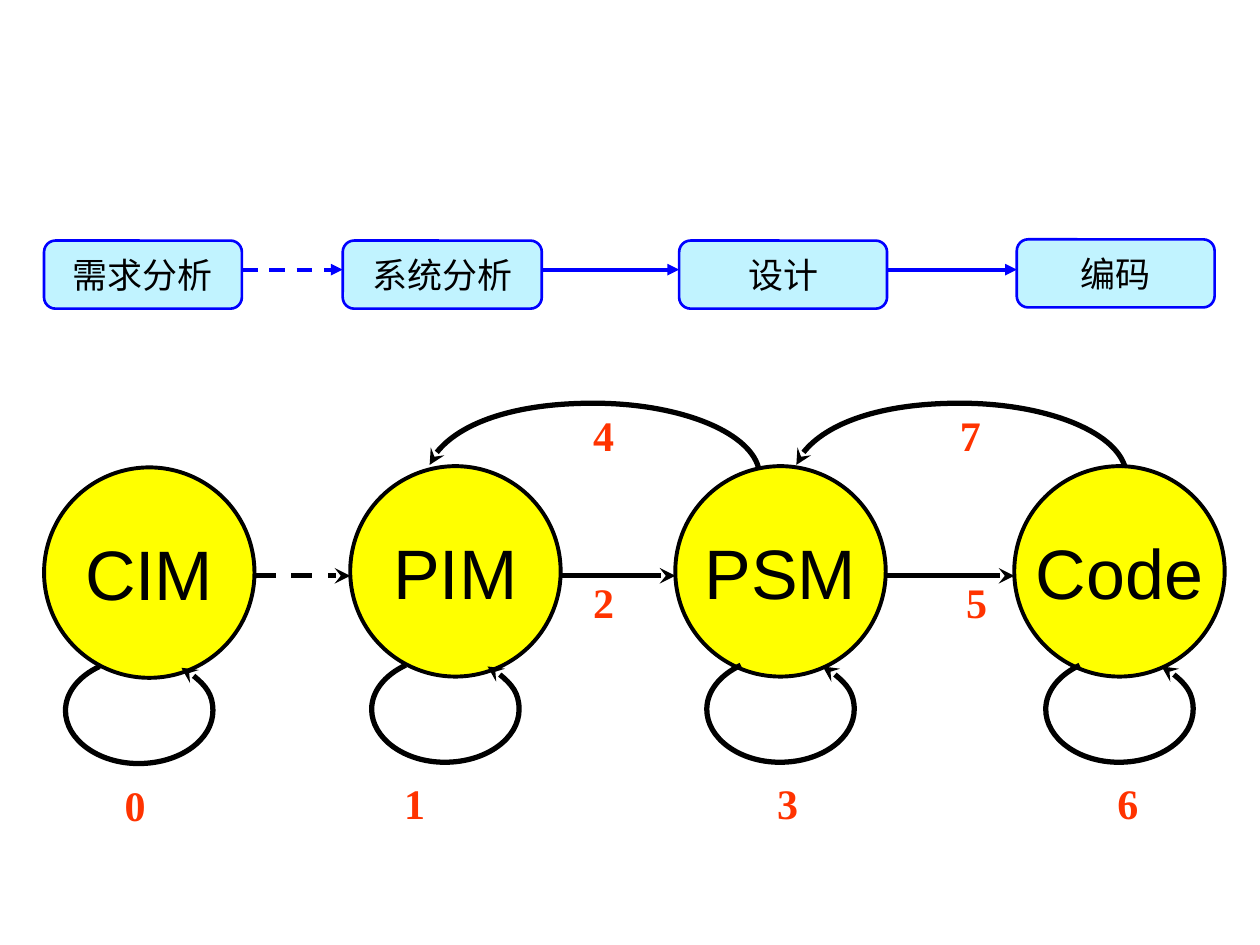
"""Build a slide that maps development phases to the models they produce."""
from dataclasses import dataclass
from itertools import pairwise

from lxml.etree import SubElement
from pptx import Presentation
from pptx.dml.color import RGBColor
from pptx.enum.dml import MSO_LINE
from pptx.enum.shapes import MSO_CONNECTOR, MSO_SHAPE
from pptx.enum.text import MSO_ANCHOR, MSO_AUTO_SIZE, PP_ALIGN
from pptx.oxml.ns import qn
from pptx.util import Inches, Pt


@dataclass(frozen=True)
class Theme:
    black: str = "000000"
    blue: str = "0000FF"
    phase_fill: str = "C1F3FF"
    model_fill: str = "FFFF00"
    red: str = "FF3300"
    phase_size: int = 20
    model_size: int = 40
    number_size: int = 24


@dataclass(frozen=True)
class Stage:
    model: str
    x: float
    y: float
    loop_x: float
    phase: str
    phase_x: float
    phase_y: float
    phase_w: float

    @property
    def right(self) -> float:
        return self.x + DIAMETER

    @property
    def phase_right(self) -> float:
        return self.phase_x + self.phase_w


@dataclass(frozen=True)
class Number:
    text: str
    x: float
    y: float


THEME = Theme()
DIAMETER, PHASE_H = 1.67, 0.54
MODEL_ARROW_Y, PHASE_ARROW_Y = 4.57, 2.14
LOOP_DROP, ARC_Y = 1.58, 3.2
ARC_XS = (3.41, 6.32)
STAGES = (
    Stage("CIM", 0.35, 3.71, 0.52, "需求分析", 0.35, 1.91, 1.57),
    Stage("PIM", 2.78, 3.7, 2.95, "系统分析", 2.72, 1.91, 1.58),
    Stage("PSM", 5.36, 3.7, 5.61, "设计", 5.39, 1.91, 1.65),
    Stage("Code", 8.05, 3.7, 8.3, "编码", 8.07, 1.9, 1.57),
)
NUMBERS = (
    Number("0", 0.89, 6.14), Number("1", 3.11, 6.12), Number("2", 4.61, 4.53),
    Number("3", 6.07, 6.12), Number("4", 4.61, 3.2), Number("5", 7.57, 4.53),
    Number("6", 8.77, 6.12), Number("7", 7.52, 3.2),
)
LOOP = ((0.27, 0), (0.1, 0.08), (0, 0.21), (0, 0.35), (0, 0.58), (0.26, 0.77),
        (0.58, 0.77), (0.91, 0.77), (1.17, 0.58), (1.17, 0.35), (1.17, 0.22),
        (1.07, 0.09), (0.92, 0.01))
ARC = ((2.61, 0.51), (2.53, 0.22), (1.97, 0), (1.3, 0), (0.66, 0),
       (0.1, 0.21), (0, 0.49))


def write(s, text: str, *, size: int, font: str, color: str, bold: bool = False,
          align: PP_ALIGN = PP_ALIGN.LEFT, anchor: MSO_ANCHOR = MSO_ANCHOR.TOP) -> None:
    """Put one formatted, unwrapped line of text into a shape."""
    tf = s.text_frame
    tf.word_wrap = False
    tf.vertical_anchor = anchor
    p = tf.paragraphs[0]
    p.alignment = align
    r = p.add_run()
    r.text = text
    r.font.size, r.font.name, r.font.bold = Pt(size), font, bold
    r.font.color.rgb = RGBColor.from_string(color)


def style_line(s, color: str, width: float, dashed: bool = False, head: str = "") -> None:
    """Format an outline and give it an optional arrowhead."""
    s.line.color.rgb = RGBColor.from_string(color)
    s.line.width = Pt(width)
    if dashed:
        s.line.dash_style = MSO_LINE.DASH
    if head:
        SubElement(s._element.spPr.find(qn("a:ln")), qn("a:tailEnd"), type=head)


def add_node(shapes, kind: MSO_SHAPE, box: tuple[float, ...], text: str, *, fill: str,
             line: str, width: float, size: int, font: str) -> None:
    """Draw a filled shape with a centred label."""
    s = shapes.add_shape(kind, *map(Inches, box))
    s.shadow.inherit = False
    s.fill.solid()
    s.fill.fore_color.rgb = RGBColor.from_string(fill)
    style_line(s, line, width)
    write(s, text, size=size, font=font, color=THEME.black,
          align=PP_ALIGN.CENTER, anchor=MSO_ANCHOR.MIDDLE)


def add_arrow(shapes, x1: float, x2: float, y: float, *, color: str, width: float,
              head: str, dashed: bool) -> None:
    """Draw a horizontal arrow."""
    s = shapes.add_connector(MSO_CONNECTOR.STRAIGHT, *map(Inches, (x1, y, x2, y)))
    style_line(s, color, width, dashed, head)
    SubElement(s._element.spPr, qn("a:effectLst"))


def add_curve(shapes, x: float, y: float, points: tuple[tuple[float, float], ...]) -> None:
    """Draw an open Bezier arrow from a start point and triples of control points."""
    start, *rest = [(Inches(x + dx), Inches(y + dy)) for dx, dy in points]
    builder = shapes.build_freeform(*start, scale=1.0)
    builder.add_line_segments(rest, close=False)
    s = builder.convert_to_shape()
    path = next(s._element.iter(qn("a:path")))
    lines = path.findall(qn("a:lnTo"))
    for i in range(0, len(lines), 3):
        curve = SubElement(path, qn("a:cubicBezTo"))
        for line in lines[i:i + 3]:
            curve.append(line[0])
            path.remove(line)
    s.shadow.inherit = False
    s.fill.background()
    style_line(s, THEME.black, 3, head="stealth")


def add_number(shapes, number: Number) -> None:
    """Draw a step number."""
    s = shapes.add_textbox(*map(Inches, (number.x, number.y, 0.37, 0.5)))
    write(s, number.text, size=THEME.number_size, font="Times New Roman",
          color=THEME.red, bold=True)
    s.text_frame.auto_size = MSO_AUTO_SIZE.SHAPE_TO_FIT_TEXT


def main() -> None:
    """Build and save the slide."""
    prs = Presentation()
    prs.slide_width, prs.slide_height = Inches(10), Inches(7.5)
    shapes = prs.slides.add_slide(prs.slide_layouts[6]).shapes
    for stage in STAGES:
        add_node(shapes, MSO_SHAPE.OVAL, (stage.x, stage.y, DIAMETER, DIAMETER), stage.model,
                 fill=THEME.model_fill, line=THEME.black, width=2.25,
                 size=THEME.model_size, font="Arial")
        add_curve(shapes, stage.loop_x, stage.y + LOOP_DROP, LOOP)
        add_node(shapes, MSO_SHAPE.ROUNDED_RECTANGLE,
                 (stage.phase_x, stage.phase_y, stage.phase_w, PHASE_H), stage.phase,
                 fill=THEME.phase_fill, line=THEME.blue, width=1.5,
                 size=THEME.phase_size, font="Calibri")
    for i, (a, b) in enumerate(pairwise(STAGES)):
        add_arrow(shapes, a.right, b.x, MODEL_ARROW_Y, color=THEME.black,
                  width=3, head="stealth", dashed=i == 0)
        add_arrow(shapes, a.phase_right, b.phase_x, PHASE_ARROW_Y, color=THEME.blue,
                  width=2.25, head="triangle", dashed=i == 0)
    for x in ARC_XS:
        add_curve(shapes, x, ARC_Y, ARC)
    for number in NUMBERS:
        add_number(shapes, number)
    prs.save("out.pptx")


main()
